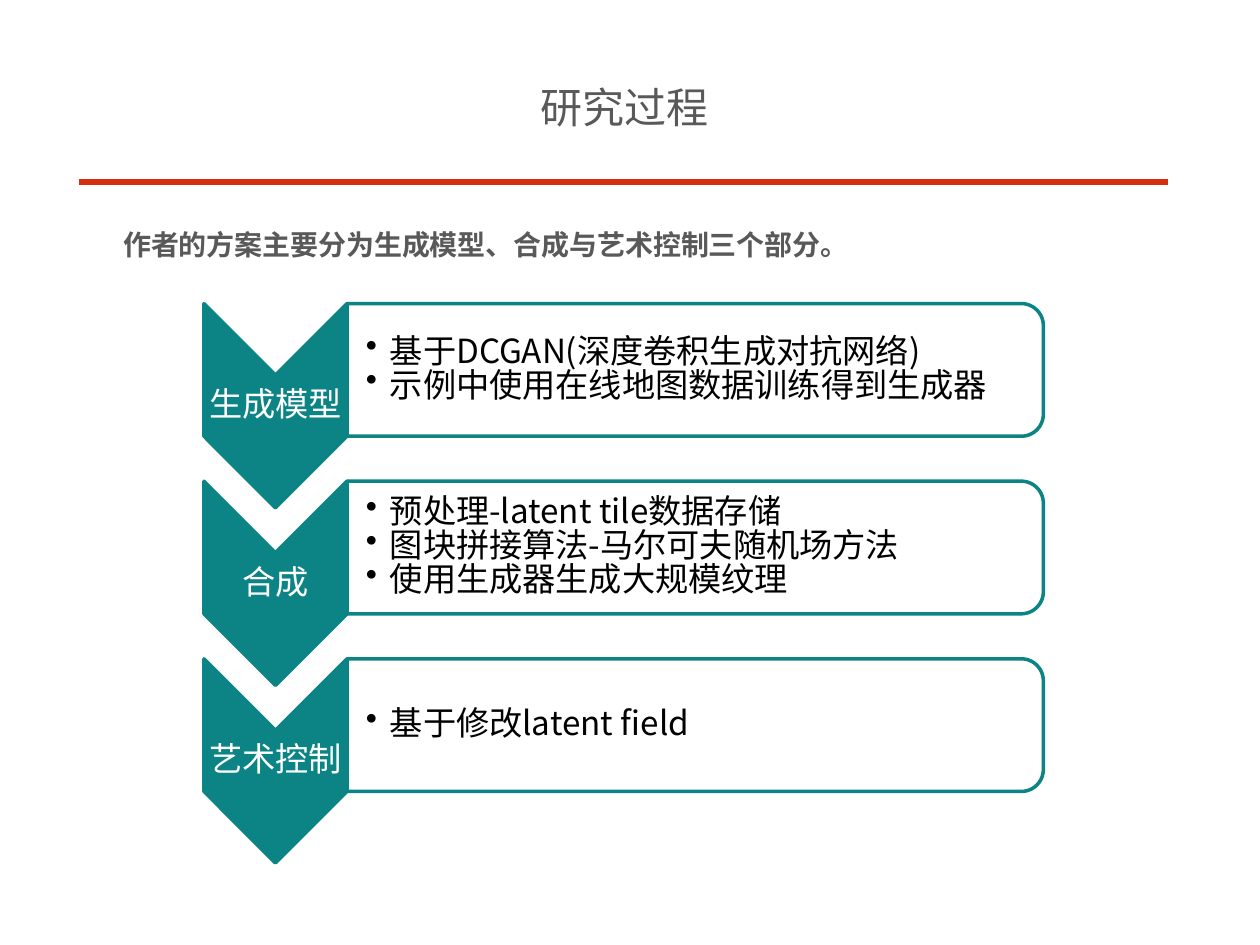
import math

from lxml import etree
from pptx import Presentation
from pptx.dml.color import RGBColor
from pptx.enum.shapes import MSO_CONNECTOR
from pptx.enum.text import MSO_ANCHOR, PP_ALIGN
from pptx.oxml.ns import qn
from pptx.util import Pt

STRAIGHT = MSO_CONNECTOR.STRAIGHT
TOP, MIDDLE = MSO_ANCHOR.TOP, MSO_ANCHOR.MIDDLE
LEFT, CENTER = PP_ALIGN.LEFT, PP_ALIGN.CENTER

STAGES = [
    ("生成模型", ["基于DCGAN(深度卷积生成对抗网络)", "示例中使用在线地图数据训练得到生成器"]),
    ("合成", ["预处理-latent tile数据存储", "图块拼接算法-马尔可夫随机场方法", "使用生成器生成大规模纹理"]),
    ("艺术控制", ["基于修改latent field"]),
]


def color(value):
    return RGBColor.from_string(value)


def set_values(target, values):
    for name, value in values.items():
        setattr(target, name, value)


class SlideBuilder:
    font_name = "Noto Sans CJK SC"
    gray, red, teal, white, black = "595959", "D52E11", "0C8485", "FFFFFF", "000000"

    def __init__(self, presentation):
        self.slide = presentation.slides.add_slide(presentation.slide_layouts[6])

    def fill_text(self, shape, lines, size, ink, margins, anchor=MIDDLE, align=LEFT,
                  bold=False, bullet=False, spacing=None):
        frame = shape.text_frame
        sides = ("margin_left", "margin_top", "margin_right", "margin_bottom")
        set_values(frame, {"word_wrap": True, "vertical_anchor": anchor})
        set_values(frame, {side: Pt(margin) for side, margin in zip(sides, margins)})
        for index, line in enumerate(lines):
            paragraph = frame.paragraphs[0] if index == 0 else frame.add_paragraph()
            if bullet:
                properties = paragraph._p.get_or_add_pPr()
                properties.set("marL", str(Pt(13.7)))
                properties.set("indent", str(-Pt(13.7)))
                etree.SubElement(properties, qn("a:buChar")).set("char", "•")
            set_values(paragraph, {"alignment": align, "line_spacing": spacing})
            run = paragraph.add_run()
            run.text = line
            set_values(run.font, {"name": self.font_name, "size": Pt(size), "bold": bold})
            run.font.color.rgb = color(ink)
            east_asian = etree.SubElement(run._r.get_or_add_rPr(), qn("a:ea"))
            east_asian.set("typeface", self.font_name)

    def text(self, left, top, width, height, line, **style):
        shape = self.slide.shapes.add_textbox(Pt(left), Pt(top), Pt(width), Pt(height))
        self.fill_text(shape, [line], ink=self.gray, **style)

    def rule(self, left, right, y):
        connector = self.slide.shapes.add_connector(STRAIGHT, Pt(left), Pt(y), Pt(right), Pt(y))
        connector.line.color.rgb = color(self.red)
        connector.line.width = Pt(3.5)
        etree.SubElement(connector._element.spPr, qn("a:effectLst"))

    def outline(self, points, fill):
        corners = [(Pt(x), Pt(y)) for x, y in points]
        builder = self.slide.shapes.build_freeform(*corners[0])
        builder.add_line_segments(corners[1:], close=True)
        shape = builder.convert_to_shape()
        shape.shadow.inherit = False
        shape.fill.solid()
        shape.fill.fore_color.rgb = color(fill)
        shape.line.color.rgb = color(self.teal)
        shape.line.width = Pt(2)
        return shape

    def chevron(self, left, top, width, side, label):
        right, middle, notch = left + width, left + width / 2, width / 2
        shape = self.outline([
            (right, top), (right, top + side), (middle, top + side + notch),
            (left, top + side), (left, top), (middle, top + notch),
        ], self.teal)
        self.fill_text(shape, [label], 19, self.white, (0.7, 41.5, 0.7, 41.5),
                       align=CENTER, spacing=0.9)

    def panel(self, left, top, width, height, lines, radius=12.6):
        center_x = left + width - radius
        points = [(left, top)]
        for center_y, start in ((top + radius, -90), (top + height - radius, 0)):
            for step in range(0, 91, 6):
                angle = math.radians(start + step)
                points.append((center_x + radius * math.cos(angle),
                               center_y + radius * math.sin(angle)))
        points.append((left, top + height))
        shape = self.outline(points, self.white)
        fill_color = shape._element.spPr.find(qn("a:solidFill"))[0]
        etree.SubElement(fill_color, qn("a:alpha")).set("val", "90000")
        self.fill_text(shape, lines, 19, self.black, (10.8, 4.3, 4.3, 4.3),
                       bullet=True, spacing=0.85)


def main():
    presentation = Presentation()
    set_values(presentation, {"slide_width": Pt(720), "slide_height": Pt(540)})
    builder = SlideBuilder(presentation)
    builder.text(257.8, 43.2, 198, 35.3, "研究过程", size=24,
                 margins=(0, 3.6, 0, 3.6), align=CENTER)
    builder.text(45.4, 130.3, 629.3, 41, "作者的方案主要分为生成模型、合成与艺术控制三个部分。",
                 size=16, margins=(25, 0, 0, 0), anchor=TOP, bold=True)
    builder.rule(45.4, 667.4, 103.9)

    left, top, step = 116.6, 173.5, 101.5
    chevron_width, panel_width, height = 81.7, 397.9, 75.8
    for index, (label, lines) in enumerate(STAGES):
        y = top + index * step
        builder.chevron(left, y, chevron_width, height, label)
        builder.panel(left + chevron_width, y, panel_width, height, lines)
    presentation.save("out.pptx")


if __name__ == "__main__":
    main()
